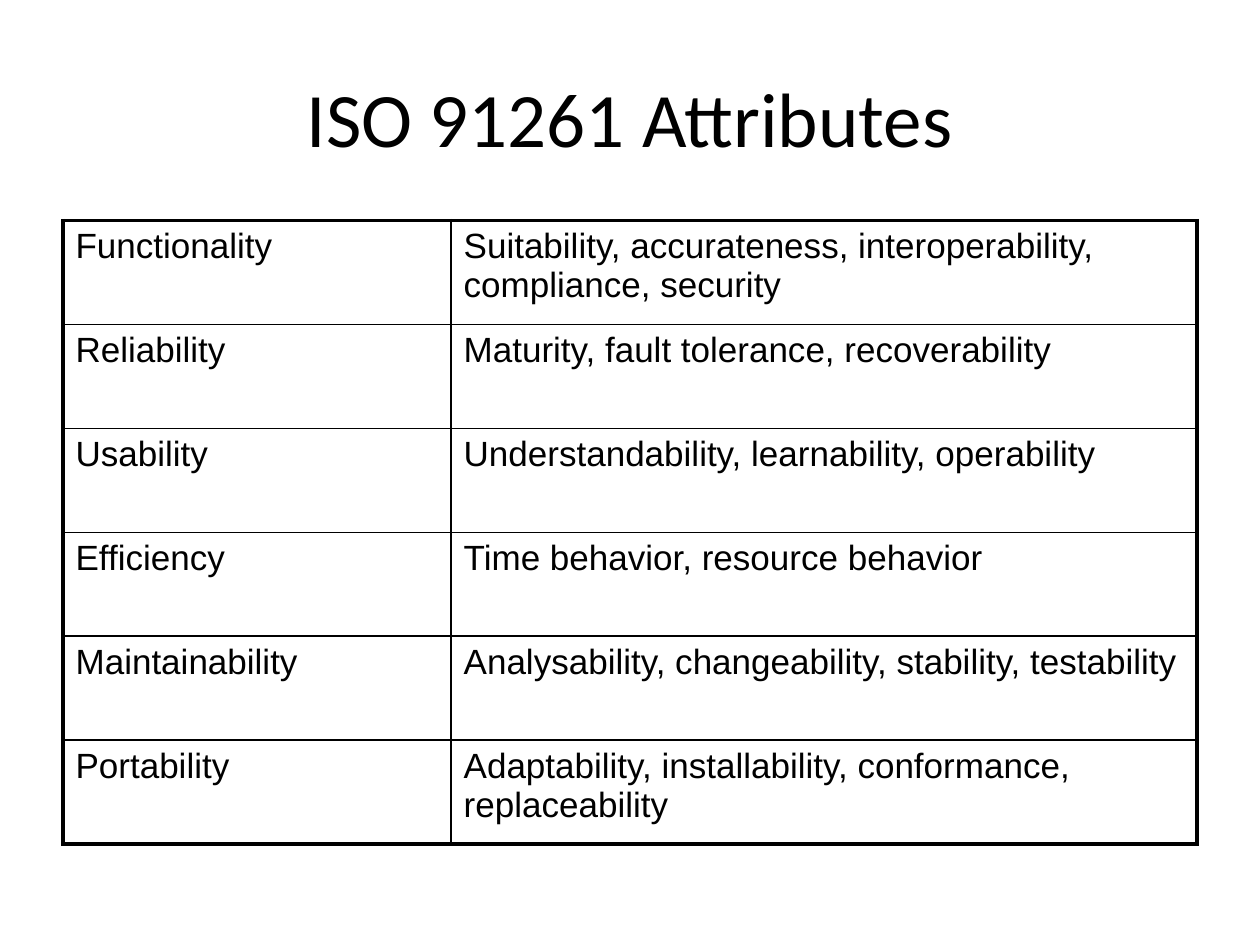
import lxml.etree
import pptx
import pptx.dml.color
import pptx.enum.text
import pptx.oxml.ns
import pptx.util
from pptx.util import Inches

BLACK = pptx.dml.color.RGBColor(0, 0, 0)
THIN, THICK = 1, 2.25
COLUMN_WIDTHS = (3.08, 5.92)
ATTRIBUTES = [
    ("Functionality", "Suitability, accurateness, interoperability, compliance, security"),
    ("Reliability", "Maturity, fault tolerance, recoverability"),
    ("Usability", "Understandability, learnability, operability"),
    ("Efficiency", "Time behavior, resource behavior"),
    ("Maintainability", "Analysability, changeability, stability, testability"),
    ("Portability", "Adaptability, installability, conformance, replaceability"),
]


def add_element(parent, tag, **attributes):
    return lxml.etree.SubElement(parent, pptx.oxml.ns.qn(tag), **attributes)


def write_text(text_frame, text, *, font, size, color=BLACK, alignment=None):
    paragraph = text_frame.paragraphs[0]
    paragraph.alignment = alignment
    run = paragraph.add_run()
    run.text = text
    run.font.name = font
    run.font.size = pptx.util.Pt(size)
    run.font.color.rgb = color
    return paragraph


def set_space_before(paragraph, percent):
    """Set spacing relative to the text size, which python-pptx cannot express."""
    properties = paragraph._p.get_or_add_pPr()
    spacing = add_element(properties, "a:spcBef")
    add_element(spacing, "a:spcPct", val=str(percent * 1000))


def set_borders(cell, *, left, right, top, bottom):
    properties = cell._tc.get_or_add_tcPr()
    for side, width in zip("LRTB", (left, right, top, bottom)):
        line = add_element(properties, f"a:ln{side}", w=str(pptx.util.Pt(width)))
        fill = add_element(line, "a:solidFill")
        add_element(fill, "a:srgbClr", val=str(BLACK))


def add_title(slide, text):
    title = slide.shapes.title
    title.left, title.top = Inches(0.5), Inches(0.3)
    title.width, title.height = Inches(9), Inches(1.25)
    title.text_frame.vertical_anchor = pptx.enum.text.MSO_ANCHOR.MIDDLE
    write_text(title.text_frame, text, font="Calibri", size=44,
               alignment=pptx.enum.text.PP_ALIGN.CENTER)


def add_attribute_table(slide, rows):
    last_row, last_column = len(rows) - 1, len(COLUMN_WIDTHS) - 1
    table = slide.shapes.add_table(
        len(rows), len(COLUMN_WIDTHS),
        Inches(0.5), Inches(1.75), Inches(9), Inches(4.95)).table
    table.first_row = table.horz_banding = False
    for column, width in zip(table.columns, COLUMN_WIDTHS):
        column.width = Inches(width)
    for row_index, texts in enumerate(rows):
        for column_index, text in enumerate(texts):
            cell = table.cell(row_index, column_index)
            paragraph = write_text(cell.text_frame, text, font="Arial", size=20)
            set_space_before(paragraph, 20)
            set_borders(
                cell,
                left=THICK if column_index == 0 else THIN,
                right=THICK if column_index == last_column else THIN,
                top=THICK if row_index == 0 else THIN,
                bottom=THICK if row_index == last_row else THIN)
            cell.fill.background()


def main():
    presentation = pptx.Presentation()
    presentation.slide_width = Inches(10)
    presentation.slide_height = Inches(7.5)
    slide = presentation.slides.add_slide(presentation.slide_layouts[5])
    add_title(slide, "ISO 91261 Attributes")
    add_attribute_table(slide, ATTRIBUTES)
    presentation.save("out.pptx")


if __name__ == "__main__":
    main()
